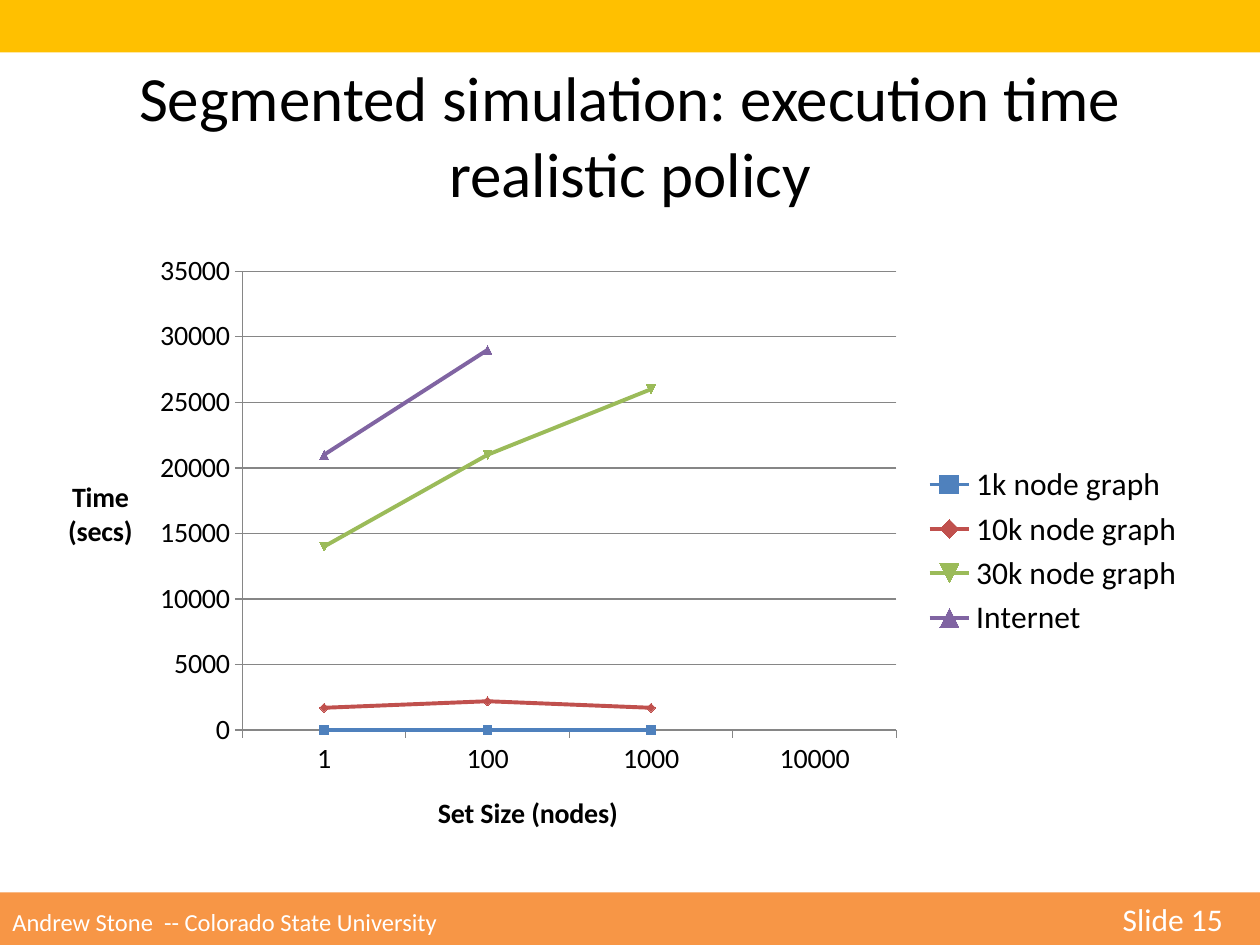
from lxml import etree
from pptx import Presentation
from pptx.chart.data import CategoryChartData
from pptx.dml.color import RGBColor
from pptx.enum.chart import XL_CHART_TYPE, XL_LEGEND_POSITION, XL_TICK_MARK
from pptx.enum.shapes import MSO_SHAPE
from pptx.enum.text import MSO_ANCHOR, PP_ALIGN
from pptx.oxml import parse_xml
from pptx.oxml.ns import nsdecls, qn
from pptx.util import Pt

TITLE = ["Segmented simulation: execution time", "realistic policy"]
FOOTER = [("Andrew Stone  -- Colorado State University \t", "footer"), ("Slide 15", "number")]
CATEGORIES = ["1", "100", "1000", "10000"]
SERIES = [
    ("1k node graph", [0, 0, 0, None], "4F81BD"),
    ("10k node graph", [1700, 2200, 1700, None], "C0504D"),
    ("30k node graph", [14000, 21000, 26000, None], "9BBB59"),
    ("Internet", [21000, 29000, None, None], "8064A2"),
]
X_TITLE = ["Set Size (nodes)"]
Y_TITLE = ["Time", "(secs)"]

THEME = {
    "font": "Calibri",
    "colors": {"top": "FFC000", "bottom": "F79646", "text": "000000",
               "light": "FFFFFF", "axis": "868686"},
    "sizes": {"title": 36, "footer": 14, "number": 18, "axis": 16, "legend": 18},
}
WIDTH, HEIGHT, BAND = 720, 540, 30
TITLE_BOX = (12, BAND, 696, 94)
CHART_BOX = (24, 138, 660, 354)
PLOT_BOX = (114.5, 17, 373.7, 262.3)
X_TITLE_AT = (223.3, 312.8)
Y_TITLE_AT = (12.7, 133.5)


def rgb(name):
    return RGBColor.from_string(THEME["colors"].get(name, name))


def style(font, size, color="text", bold=False):
    values = {"name": THEME["font"], "size": Pt(THEME["sizes"][size]), "bold": bold}
    for key, value in values.items():
        setattr(font, key, value)
    font.color.rgb = rgb(color)


def add_band(top, color):
    s = slide.shapes.add_shape(MSO_SHAPE.RECTANGLE, 0, Pt(top), Pt(WIDTH), Pt(BAND))
    s.shadow.inherit = False
    s.fill.solid()
    s.fill.fore_color.rgb = rgb(color)
    s.line.fill.background()
    return s


def set_layout(parent, box, after=None):
    for old in parent.findall(qn("c:layout")):
        parent.remove(old)
    layout = parse_xml(f"<c:layout {nsdecls('c')}><c:manualLayout/></c:layout>")
    entries = [("layoutTarget", "inner")] if len(box) == 4 else []
    entries += [("xMode", "edge"), ("yMode", "edge")]
    entries += [(tag, length / total) for tag, length, total in zip("xywh", box, CHART_BOX[2:] * 2)]
    for tag, value in entries:
        etree.SubElement(layout[0], qn(f"c:{tag}")).set("val", str(value))
    if after is None:
        parent.insert(0, layout)
    else:
        after.addnext(layout)


def add_axis_title(axis, lines, position):
    tf = axis.axis_title.text_frame
    for i, line in enumerate(lines):
        p = tf.add_paragraph() if i else tf.paragraphs[0]
        r = p.add_run()
        r.text = line
        style(r.font, "axis", bold=True)
    title = axis.axis_title._element
    body = next(title.iter(qn("a:bodyPr")))
    body.set("rot", "0")
    body.set("vert", "horz")
    set_layout(title, position, after=title.find(qn("c:tx")))


prs = Presentation()
prs.slide_width, prs.slide_height = Pt(WIDTH), Pt(HEIGHT)
slide = prs.slides.add_slide(prs.slide_layouts[6])

add_band(0, "top")

tf = slide.shapes.add_textbox(*map(Pt, TITLE_BOX)).text_frame
tf.word_wrap = True
for i, line in enumerate(TITLE):
    p = tf.add_paragraph() if i else tf.paragraphs[0]
    p.alignment = PP_ALIGN.CENTER
    r = p.add_run()
    r.text = line
    style(r.font, "title")

tf = add_band(HEIGHT - BAND, "bottom").text_frame
tf.vertical_anchor = MSO_ANCHOR.MIDDLE
p = tf.paragraphs[0]
p.alignment = PP_ALIGN.LEFT
tabs = etree.SubElement(p._p.get_or_add_pPr(), qn("a:tabLst"))
tab = etree.SubElement(tabs, qn("a:tab"))
tab.set("pos", str(Pt(634.5)))
tab.set("algn", "l")
for text, size in FOOTER:
    r = p.add_run()
    r.text = text
    style(r.font, size, "light")

data = CategoryChartData()
data.categories = CATEGORIES
for name, values, _ in SERIES:
    data.add_series(name, values)
chart = slide.shapes.add_chart(XL_CHART_TYPE.LINE_MARKERS, *map(Pt, CHART_BOX), data).chart
chart.has_title = False
style(chart.font, "axis")
chart.has_legend = True
chart.legend.position = XL_LEGEND_POSITION.RIGHT
chart.legend.include_in_layout = False
style(chart.legend.font, "legend")

plot = chart.plots[0]
plot.vary_by_categories = False
for series, (_, _, color) in zip(plot.series, SERIES):
    series.smooth = False
    series.format.line.width = Pt(2.25)
    series.format.line.color.rgb = rgb(color)
    series.marker.size = 5
    fmt = series.marker.format
    fmt.fill.solid()
    fmt.fill.fore_color.rgb = rgb(color)
    fmt.line.color.rgb = rgb(color)

x_axis, y_axis = chart.category_axis, chart.value_axis
for key, value in {"minimum_scale": 0, "maximum_scale": 35000, "major_unit": 5000,
                   "has_major_gridlines": True}.items():
    setattr(y_axis, key, value)
for axis, lines, position in ((x_axis, X_TITLE, X_TITLE_AT), (y_axis, Y_TITLE, Y_TITLE_AT)):
    axis.major_tick_mark = XL_TICK_MARK.OUTSIDE
    style(axis.tick_labels.font, "axis")
    add_axis_title(axis, lines, position)
for line in (x_axis.format.line, y_axis.format.line, y_axis.major_gridlines.format.line):
    line.width = Pt(0.75)
    line.color.rgb = rgb("axis")
set_layout(chart._chartSpace.chart.plotArea, PLOT_BOX)

prs.save("out.pptx")
